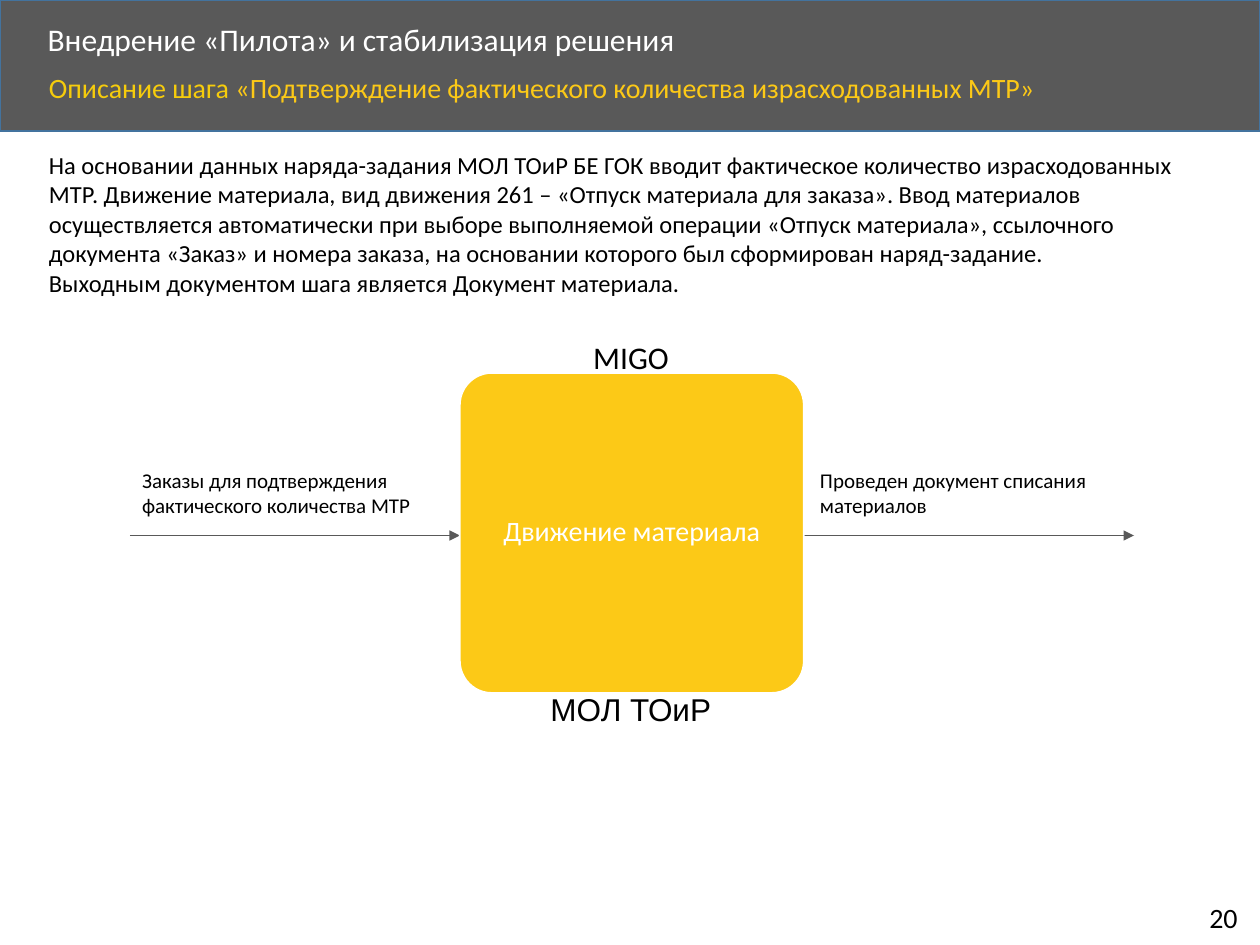
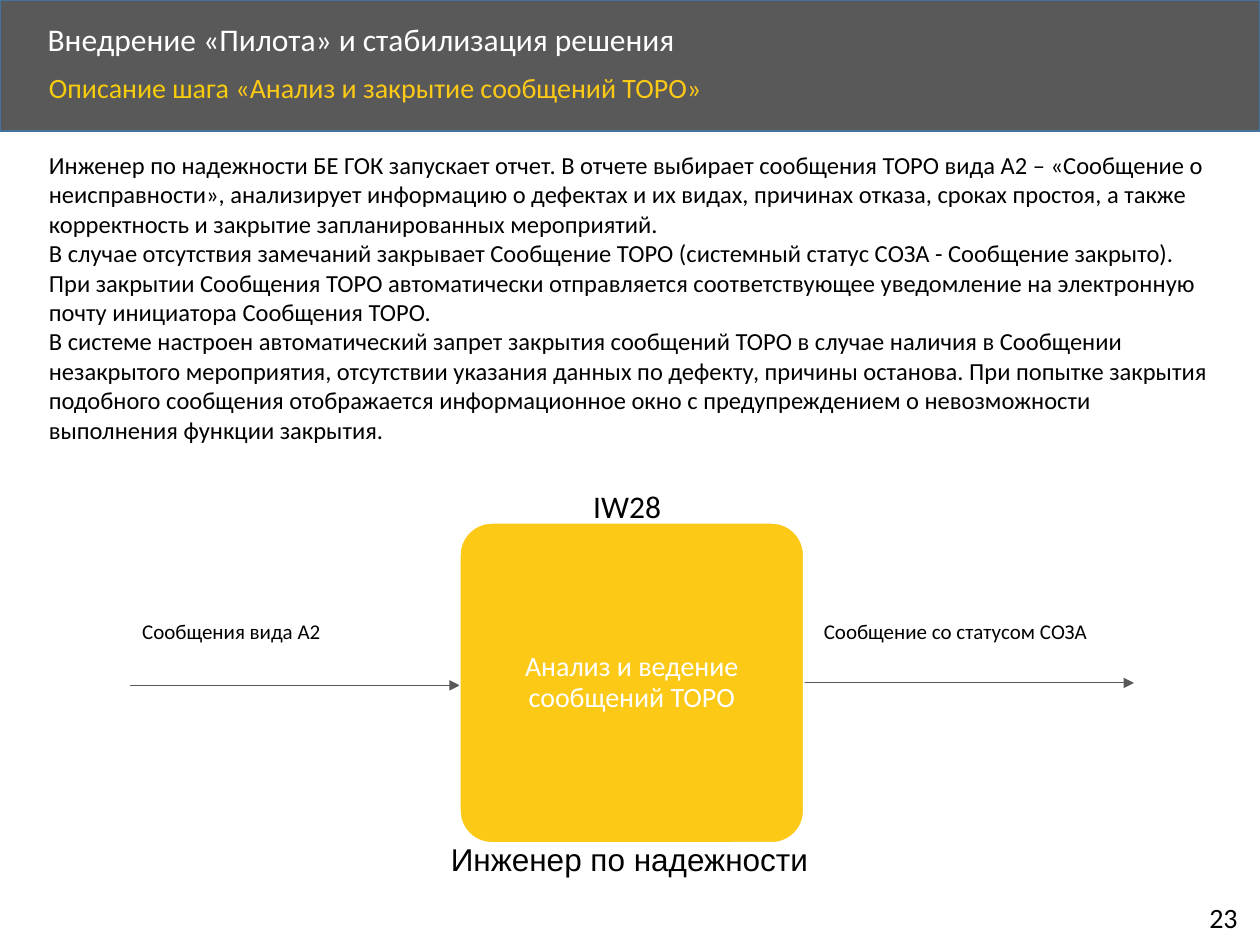
from dataclasses import dataclass

from lxml.etree import SubElement
from pptx import Presentation
from pptx.dml.color import RGBColor
from pptx.enum.shapes import MSO_CONNECTOR, MSO_SHAPE
from pptx.enum.text import MSO_ANCHOR, PP_ALIGN
from pptx.oxml.ns import qn
from pptx.util import Pt

PX = 9144
GRAY, BLUE, YELLOW, GOLD = "595959", "43739E", "FCC917", "F6CC0C"
WHITE, BLACK = "FFFFFF", "000000"
TITLE = "Внедрение «Пилота» и стабилизация решения"
BLOCK_X, BLOCK_W, BLOCK_H = 365, 273, 254
ARROW_W, LABEL_W = 262, 257


@dataclass(frozen=True)
class Arrow:
    x: int
    y: int
    label: str
    label_x: int


@dataclass(frozen=True)
class Step:
    number: int
    name: str
    description: tuple[str, ...]
    description_h: int
    block_y: int
    block: str
    code: str
    code_w: int
    role: str
    role_x: int
    role_w: int
    label_y: int
    label_h: int
    arrows: tuple[Arrow, Arrow]


STEPS = (
    Step(
        number=20,
        name="«Подтверждение фактического количества израсходованных МТР»",
        description=(
            "На основании данных наряда-задания МОЛ ТОиР БЕ ГОК вводит фактическое "
            "количество израсходованных МТР. Движение материала, вид движения 261 – "
            "«Отпуск материала для заказа». Ввод материалов осуществляется "
            "автоматически при выборе выполняемой операции «Отпуск материала», "
            "ссылочного документа «Заказ» и номера заказа, на основании которого "
            "был сформирован наряд-задание.",
            "Выходным документом шага является Документ материала.",
        ),
        description_h=128,
        block_y=296,
        block="Движение материала",
        code="MIGO",
        code_w=81,
        role="МОЛ ТОиР",
        role_x=427,
        role_w=149,
        label_y=366,
        label_h=50,
        arrows=(
            Arrow(103, 425, "Заказы для подтверждения фактического количества МТР", 103),
            Arrow(638, 425, "Проведен документ списания материалов", 641),
        ),
    ),
    Step(
        number=23,
        name="«Анализ и закрытие сообщений ТОРО»",
        description=(
            "Инженер по надежности БЕ ГОК запускает отчет. В отчете выбирает "
            "сообщения ТОРО вида A2 – «Сообщение о неисправности», анализирует "
            "информацию о дефектах и их видах, причинах отказа, сроках простоя, "
            "а также корректность и закрытие запланированных мероприятий.",
            "В случае отсутствия замечаний закрывает Сообщение ТОРО (системный "
            "статус СОЗА - Сообщение закрыто). При закрытии Сообщения ТОРО "
            "автоматически отправляется соответствующее уведомление на электронную "
            "почту инициатора Сообщения ТОРО.",
            "В системе настроен автоматический запрет закрытия сообщений ТОРО "
            "в случае наличия в Сообщении незакрытого мероприятия, отсутствии "
            "указания данных по дефекту, причины останова. При попытке закрытия "
            "подобного сообщения отображается информационное окно с "
            "предупреждением о невозможности выполнения функции закрытия.",
        ),
        description_h=269,
        block_y=415,
        block="Анализ и ведение сообщений ТОРО",
        code="IW28",
        code_w=75,
        role="Инженер по надежности",
        role_x=348,
        role_w=307,
        label_y=486,
        label_h=30,
        arrows=(
            Arrow(103, 544, "Сообщения вида А2", 103),
            Arrow(638, 542, "Сообщение со статусом СОЗА", 644),
        ),
    ),
)


def rgb(color: str) -> RGBColor:
    return RGBColor.from_string(color)


def px(*lengths: int) -> list[int]:
    return [n * PX for n in lengths]


def write(tf, *paragraphs, size=14, color=BLACK, font="Calibri", align=PP_ALIGN.LEFT,
          anchor=MSO_ANCHOR.TOP, spacing=1.0, wrap=True) -> None:
    tf.word_wrap = wrap
    tf.vertical_anchor = anchor
    for i, text in enumerate(paragraphs):
        p = tf.add_paragraph() if i else tf.paragraphs[0]
        p.alignment = align
        p.line_spacing = spacing
        runs = [(text, color)] if isinstance(text, str) else text
        for run_text, run_color in runs:
            r = p.add_run()
            r.text = run_text
            r.font.size = Pt(size)
            r.font.name = font
            r.font.color.rgb = rgb(run_color)


def add_text(s, box: tuple[int, int, int, int], *paragraphs, **fmt) -> None:
    write(s.shapes.add_textbox(*px(*box)).text_frame, *paragraphs, **fmt)


def add_box(s, kind, box: tuple[int, int, int, int], fill: str, line: str):
    sp = s.shapes.add_shape(kind, *px(*box))
    sp.shadow.inherit = False
    sp.fill.solid()
    sp.fill.fore_color.rgb = rgb(fill)
    sp.line.color.rgb = rgb(line)
    sp.line.width = Pt(1)
    return sp


def add_arrow(s, arrow: Arrow) -> None:
    sp = s.shapes.add_connector(
        MSO_CONNECTOR.STRAIGHT, *px(arrow.x, arrow.y, arrow.x + ARROW_W, arrow.y))
    sp.line.color.rgb = rgb(GRAY)
    sp.line.width = Pt(0.5)
    SubElement(sp.line._get_or_add_ln(), qn("a:tailEnd"), type="triangle")
    SubElement(sp._element.spPr, qn("a:effectLst"))


def add_frame(s, step: Step) -> None:
    add_box(s, MSO_SHAPE.RECTANGLE, (0, 0, 1000, 104), GRAY, BLUE)
    add_text(s, (28, 14, 807, 38), TITLE, size=18, color=WHITE,
             anchor=MSO_ANCHOR.MIDDLE, spacing=0.9)
    add_text(s, (950, 710, 46, 37), str(step.number), size=16, wrap=False)
    add_text(s, (29, 54, 865, 45), [("Описание шага ", GOLD), (step.name, YELLOW)],
             size=16, spacing=0.9)


def add_flow(s, step: Step) -> None:
    for arrow in step.arrows:
        add_arrow(s, arrow)
        add_text(s, (arrow.label_x, step.label_y, LABEL_W, step.label_h),
                 arrow.label, size=12)
    sp = add_box(s, MSO_SHAPE.ROUNDED_RECTANGLE,
                 (BLOCK_X, step.block_y, BLOCK_W, BLOCK_H), YELLOW, WHITE)
    sp.adjustments[0] = 0.1
    tf = sp.text_frame
    tf.margin_left = tf.margin_right = tf.margin_top = tf.margin_bottom = PX
    write(tf, step.block, size=16, color=WHITE, align=PP_ALIGN.CENTER,
          anchor=MSO_ANCHOR.MIDDLE, spacing=0.9)
    add_text(s, (461, step.block_y - 33, step.code_w, 40), step.code, size=18, wrap=False)
    add_text(s, (step.role_x, step.block_y + BLOCK_H - 7 + 0, step.role_w, 40),
             step.role, size=18, font="Arial")


def main() -> None:
    prs = Presentation()
    prs.slide_width, prs.slide_height = px(1000, 750)
    for step in STEPS:
        s = prs.slides.add_slide(prs.slide_layouts[6])
        add_frame(s, step)
        add_text(s, (29, 114, 946, step.description_h), *step.description)
        add_flow(s, step)
    prs.save("out.pptx")


if __name__ == "__main__":
    main()
